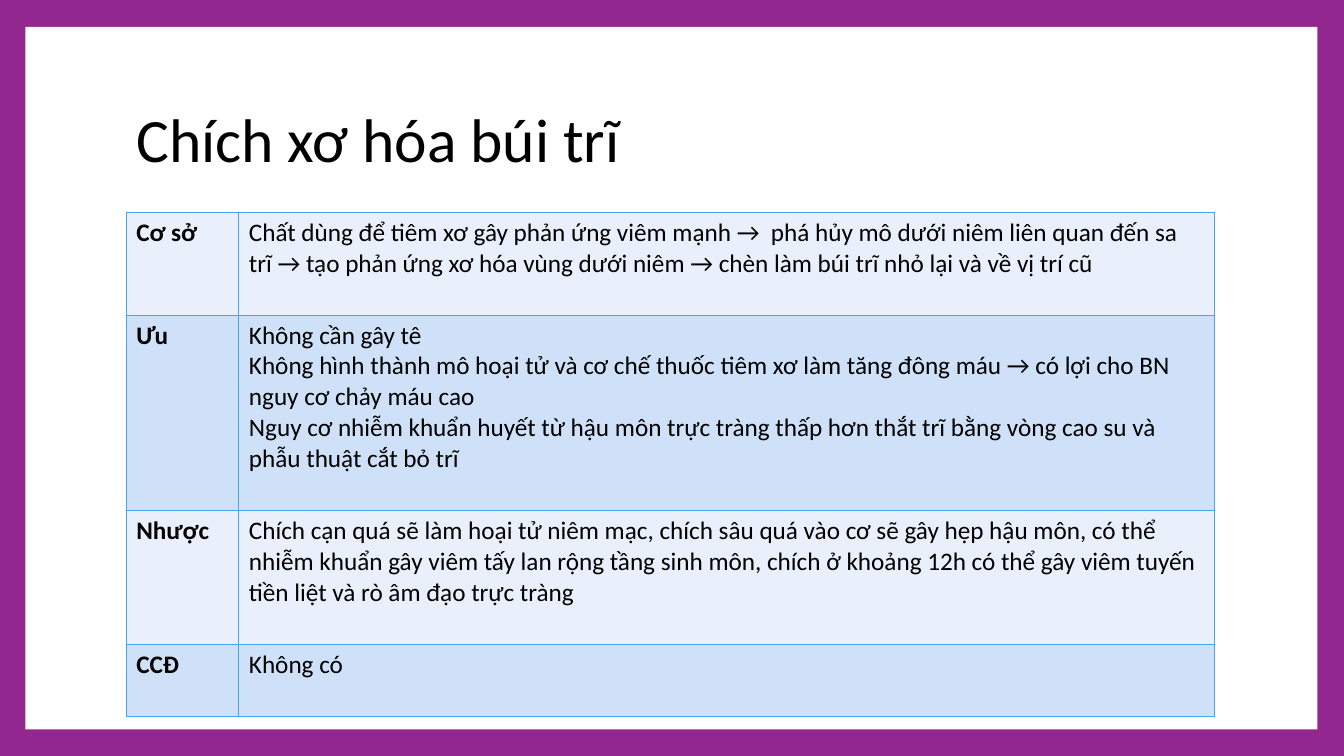
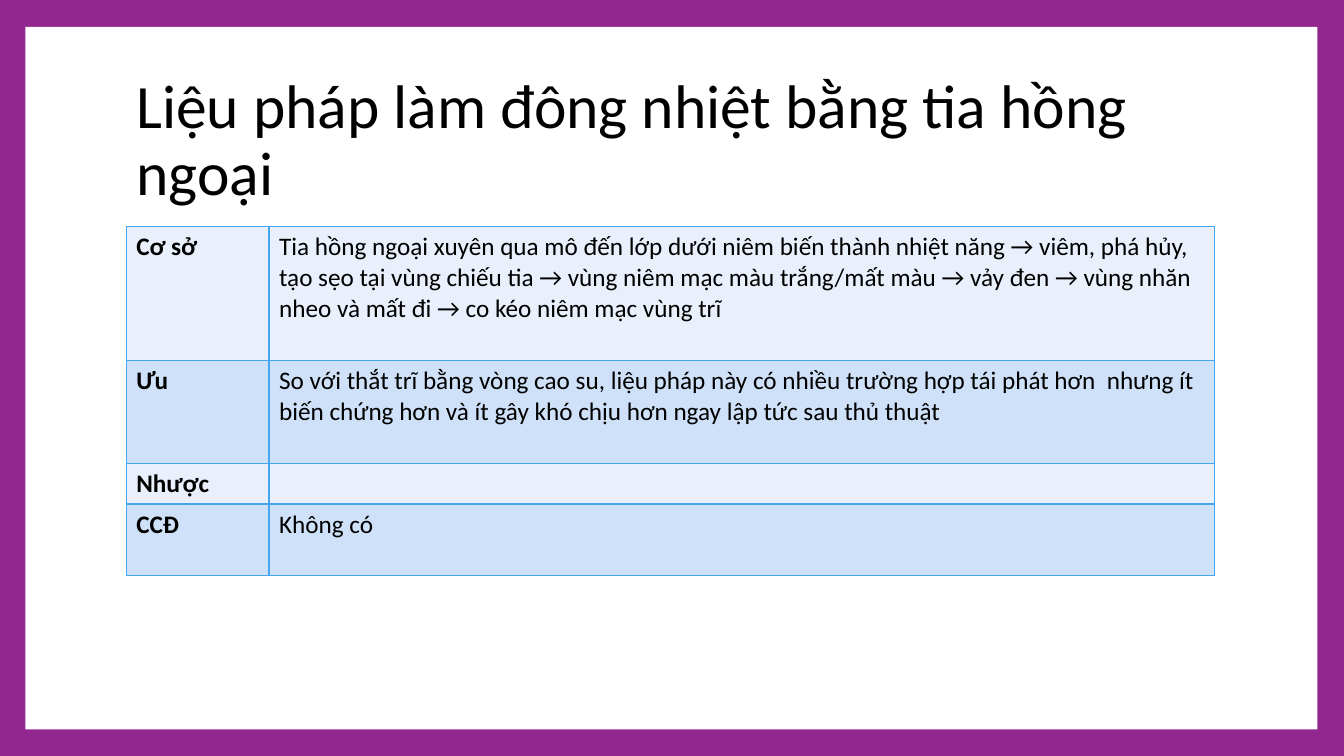
from pptx import Presentation
from pptx.dml.color import RGBColor
from pptx.enum.shapes import MSO_SHAPE
from pptx.enum.text import MSO_ANCHOR, MSO_AUTO_SIZE, PP_ALIGN
from pptx.oxml import parse_xml
from pptx.oxml.ns import nsdecls
from pptx.util import Cm, Pt

# Content: title, table top, label column width (cm),
# rows of (label, paragraphs, height in text lines)
SLIDES = [
    ("Chích xơ hóa búi trĩ", 5.35, 2.84, [
        ("Cơ sở", ["Chất dùng để tiêm xơ gây phản ứng viêm mạnh →  phá hủy mô dưới niêm liên quan "
                   "đến sa trĩ → tạo phản ứng xơ hóa vùng dưới niêm → chèn làm búi trĩ nhỏ lại "
                   "và về vị trí cũ"], 3),
        ("Ưu", ["Không cần gây tê",
                "Không hình thành mô hoại tử và cơ chế thuốc tiêm xơ làm tăng đông máu → "
                "có lợi cho BN  nguy cơ chảy máu cao",
                "Nguy cơ nhiễm khuẩn huyết từ hậu môn trực tràng thấp hơn thắt trĩ bằng "
                "vòng cao su và phẫu thuật cắt bỏ trĩ"], 6),
        ("Nhược", ["Chích cạn quá sẽ làm hoại tử niêm mạc, chích sâu quá vào cơ sẽ gây hẹp hậu môn, "
                   "có thể nhiễm khuẩn gây viêm tấy lan rộng tầng sinh môn, chích ở khoảng 12h "
                   "có thể gây viêm tuyến tiền liệt và rò âm đạo trực tràng"], 4),
        ("CCĐ", ["Không có"], 2),
    ]),
    ("Liệu pháp làm đông nhiệt bằng tia hồng ngoại", 5.71, 3.6, [
        ("Cơ sở", ["Tia hồng ngoại xuyên qua mô đến lớp dưới niêm biến thành nhiệt năng → viêm, "
                   "phá hủy, tạo sẹo tại vùng chiếu tia → vùng niêm mạc màu trắng/mất màu → "
                   "vảy đen → vùng nhăn nheo và mất đi → co kéo niêm mạc vùng trĩ"], 4),
        ("Ưu", ["So với thắt trĩ bằng vòng cao su, liệu pháp này có nhiều trường hợp tái phát "
                "hơn  nhưng ít biến chứng hơn và ít gây khó chịu hơn ngay lập tức sau thủ thuật"], 3),
        ("Nhược", [], 1),
        ("CCĐ", ["Không có"], 2),
    ]),
]

# Shared style
FONT = "Calibri"
PURPLE = RGBColor(0x92, 0x27, 0x8F)
WHITE = RGBColor(0xFF, 0xFF, 0xFF)
BLACK = RGBColor(0, 0, 0)
BORDER = RGBColor(0x45, 0xA5, 0xED)
BANDS = RGBColor(0xE9, 0xF0, 0xFC), RGBColor(0xCF, 0xE1, 0xF8)
LEFT, WIDTH = 3.18, 27.43
LINE, PADDING = 0.78, 0.25


def add_run(p, text, size, bold=False):
    r = p.add_run()
    r.text = text
    r.font.name, r.font.size, r.font.bold = FONT, Pt(size), bold
    r.font.color.rgb = BLACK


def add_panel(s):
    sp = s.shapes.add_shape(MSO_SHAPE.RECTANGLE, Cm(0.64), Cm(0.68), Cm(32.56), Cm(17.7))
    sp.shadow.inherit = False
    sp.fill.solid()
    sp.fill.fore_color.rgb = WHITE
    sp.line.fill.background()
    s.shapes.title._element.addprevious(sp._element)  # behind the title


def set_title(s, text):
    sp = s.shapes.title
    sp.left, sp.top, sp.width, sp.height = Cm(LEFT), Cm(1.7), Cm(WIDTH), Cm(3.76)
    tf = sp.text_frame
    tf.auto_size, tf.word_wrap = MSO_AUTO_SIZE.NONE, True
    tf.vertical_anchor = MSO_ANCHOR.MIDDLE
    p = tf.paragraphs[0]
    p.alignment, p.line_spacing = PP_ALIGN.LEFT, 0.9
    add_run(p, text, 44)


def fill_cell(cell, paragraphs, band, bold):
    tcPr = cell._tc.get_or_add_tcPr()
    for side in "LRTB":
        tcPr.append(parse_xml(
            f'<a:ln{side} {nsdecls("a")} w="{Pt(1)}"><a:solidFill>'
            f'<a:srgbClr val="{BORDER}"/></a:solidFill></a:ln{side}>'))
    cell.fill.solid()
    cell.fill.fore_color.rgb = band
    tf = cell.text_frame
    for i, text in enumerate(paragraphs):
        p = tf.add_paragraph() if i else tf.paragraphs[0]
        add_run(p, text, 18, bold)


def add_rows(s, top, label_width, rows):
    heights = [PADDING + LINE * lines for _, _, lines in rows]
    table = s.shapes.add_table(len(rows), 2, Cm(LEFT), Cm(top), Cm(WIDTH), Cm(sum(heights))).table
    table.first_row = table.horz_banding = False
    table.columns[0].width = Cm(label_width)
    table.columns[1].width = Cm(WIDTH - label_width)
    for i, (label, paragraphs, _) in enumerate(rows):
        table.rows[i].height = Cm(heights[i])
        band = BANDS[i % 2]
        fill_cell(table.cell(i, 0), [label], band, True)
        fill_cell(table.cell(i, 1), paragraphs, band, False)


def main():
    prs = Presentation()
    prs.slide_width, prs.slide_height = Cm(33.87), Cm(19.05)
    background = prs.slide_master.background.fill
    background.solid()
    background.fore_color.rgb = PURPLE
    for title, top, label_width, rows in SLIDES:
        s = prs.slides.add_slide(prs.slide_layouts[5])
        add_panel(s)
        set_title(s, title)
        add_rows(s, top, label_width, rows)
    prs.save("out.pptx")


if __name__ == "__main__":
    main()
